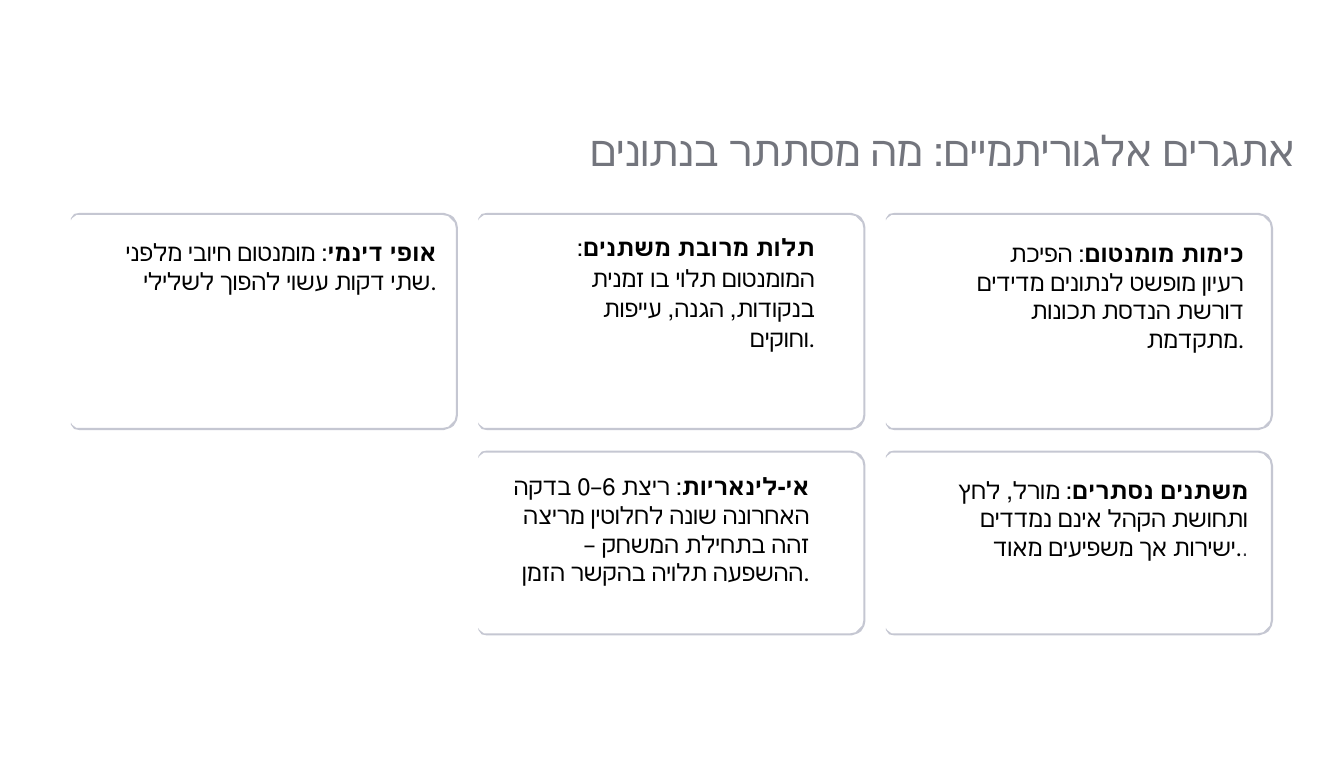
import pptx
import pptx.dml.color
import pptx.enum.text
import pptx.util

Inches, Pt = pptx.util.Inches, pptx.util.Pt
RGB = pptx.dml.color.RGBColor.from_string
COLORS = {"title": "73757D", "text": "000000", "frame": "C5C7D2", "dot": "3D3E43"}

LEFT, TOP, CARD_W, GAP = 0.66, 1.98, 3.6, 0.19
ROW_HEIGHTS = [2.02, 1.72]
OUTER_RIGHT = [(0, 0.14), (0.01, 0.09), (0.04, 0.04), (0.07, 0.02), (0.13, 0)]
LEFT_TIP = [(0.08, 0), (0.03, 0.01), (0, 0.05), (0, 0.07), (0.01, 0.05), (0.05, 0.02), (0.08, 0.02)]
INNER_RIGHT = [(0.14, 0.02), (0.09, 0.03), (0.06, 0.06), (0.03, 0.09), (0.02, 0.14)]

CARDS = [
    dict(col=0, row=0, box=(0.25, 0.19, 3.15, 0.56), label="אופי דינמי",
         text=": מומנטום חיובי מלפני שתי דקות עשוי להפוך לשלילי."),
    dict(col=1, row=0, box=(0.76, 0.17, 3.37, 1.12), label="תלות מרובת משתנים",
         text=": המומנטום תלוי בו זמנית בנקודות, הגנה, עייפות וחוקים.",
         inset_top=0, inset_right=1, spacing=1.06),
    dict(col=2, row=0, box=(0.75, 0.2, 2.58, 1.1), label="כימות מומנטום",
         text=": הפיכת רעיון מופשט לנתונים מדידים דורשת הנדסת תכונות מתקדמת."),
    dict(col=1, row=1, box=(0.26, 0.16, 2.82, 1.1), label="אי-לינאריות",
         text=": ריצת 6–0 בדקה האחרונה שונה לחלוטין מריצה זהה בתחילת המשחק – ההשפעה תלויה בהקשר הזמן."),
    dict(col=2, row=1, box=(0.26, 0.19, 3.11, 0.83), label="משתנים נסתרים",
         text=": מורל, לחץ ותחושת הקהל אינם נמדדים ישירות אך משפיעים מאוד.", dot="."),
]


def set_frame(tf, top=0, right=0):
    """Prepare a wrapping, top-anchored, right-aligned text frame."""
    tf.word_wrap = True
    tf.auto_size = pptx.enum.text.MSO_AUTO_SIZE.NONE
    tf.vertical_anchor = pptx.enum.text.MSO_ANCHOR.TOP
    tf.margin_left = tf.margin_bottom = 0
    tf.margin_top, tf.margin_right = Inches(top), Inches(right)
    p = tf.paragraphs[0]
    p.alignment = pptx.enum.text.PP_ALIGN.RIGHT
    return p


def set_font(font, name, size, color):
    """Set the typeface, size and colour of a font."""
    font.name, font.size = name, Pt(size)
    font.color.rgb = RGB(COLORS[color])


def add_title(s, x, y, w, h):
    """Place and format the slide title."""
    sp = s.shapes.title
    sp.left, sp.top, sp.width, sp.height = map(Inches, (x, y, w, h))
    p = set_frame(sp.text_frame, top=0.02)
    p.text = "אתגרים אלגוריתמיים: מה מסתתר בנתונים"
    set_font(p.font, "DejaVu Sans", 28, "title")


def add_frame(s, x, y, w, h):
    """Draw the rounded card outline that tapers off on the left."""
    top = [(w - dx, dy) for dx, dy in OUTER_RIGHT] + LEFT_TIP
    top += [(w - dx, dy) for dx, dy in INNER_RIGHT]
    outline = top + [(dx, h - dy) for dx, dy in reversed(top)]
    points = [(Inches(x + dx), Inches(y + dy)) for dx, dy in outline]
    fb = s.shapes.build_freeform(*points[0])
    fb.add_line_segments(points[1:], close=True)
    sp = fb.convert_to_shape()
    sp.shadow.inherit = False
    sp.fill.solid()
    sp.fill.fore_color.rgb = RGB(COLORS["frame"])
    sp.line.fill.background()


def add_card(s, x, y, w, h, card):
    """Draw one card with its bold label and explanation."""
    add_frame(s, x, y, w, h)
    dx, dy, tw, th = card["box"]
    tb = s.shapes.add_textbox(*map(Inches, (x + dx, y + dy, tw, th)))
    p = set_frame(tb.text_frame, card.get("inset_top", 0.04), card.get("inset_right", 0))
    p.line_spacing = card.get("spacing", 1.0)
    set_font(p.font, "Calibri", 16, "text")
    r = p.add_run()
    r.text, r.font.bold = card["label"], True
    p.add_run().text = card["text"]
    if "dot" in card:
        r = p.add_run()
        r.text = card["dot"]
        set_font(r.font, "DejaVu Sans", 13.5, "dot")


def main():
    """Build the slide and save it."""
    prs = pptx.Presentation()
    prs.slide_width, prs.slide_height = Inches(12.5), Inches(7.05)
    s = prs.slides.add_slide(prs.slide_layouts[5])
    add_title(s, 2.32, 1.14, 9.72, 0.49)
    for card in CARDS:
        x = LEFT + card["col"] * (CARD_W + GAP)
        y = TOP + sum(ROW_HEIGHTS[:card["row"]]) + card["row"] * GAP
        add_card(s, x, y, CARD_W, ROW_HEIGHTS[card["row"]], card)
    prs.save("out.pptx")


if __name__ == "__main__":
    main()
